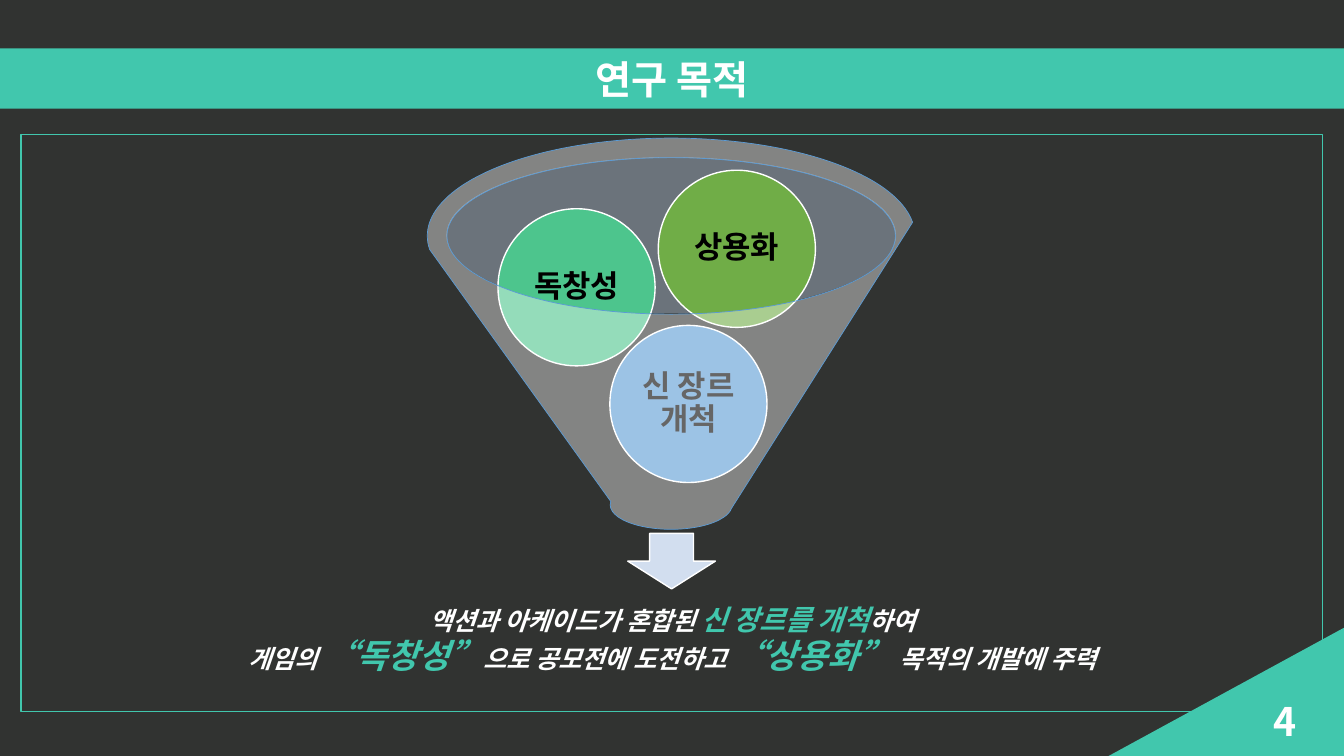
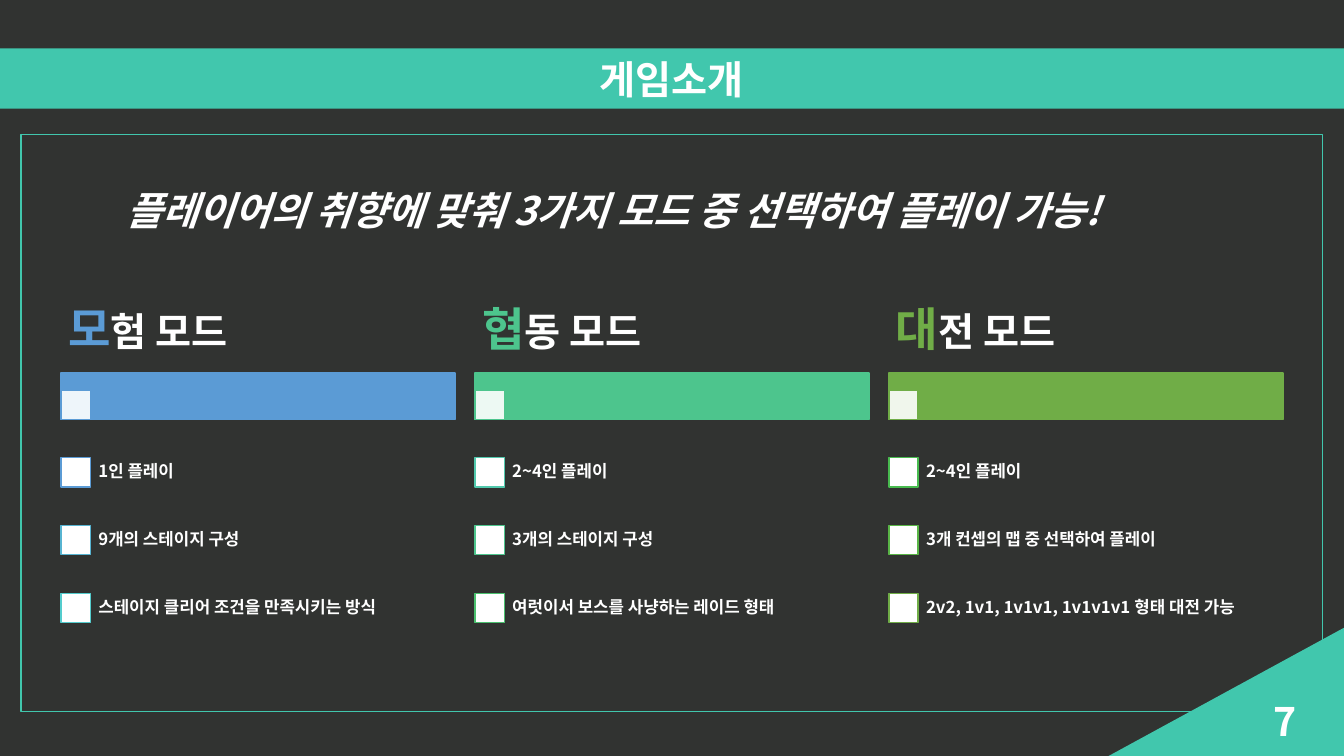
"""Build two slides on a game project: its research goal and its play modes."""
import pptx
import pptx.dml.color
import pptx.enum.shapes
import pptx.enum.text
import pptx.oxml
import pptx.oxml.ns
import pptx.util

Cm = pptx.util.Cm
Pt = pptx.util.Pt
SHAPE = pptx.enum.shapes.MSO_SHAPE
ALIGN = pptx.enum.text.PP_ALIGN

FONT = "Noto Sans CJK KR"
WIDTH, HEIGHT = 33.87, 19.05
COLORS = {
    "background": "313331",
    "teal": "41C7AD",
    "white": "FFFFFF",
    "black": "000000",
    "blue": "5B9BD5",
    "green": "4DC58D",
    "olive": "70AD47",
    "rim": "C4D5EB",
    "arrow": "D2DEEF",
}
MODES = [
    ("모", "험 모드", "blue", [
        ("1인 플레이", "5B9BD5"),
        ("9개의 스테이지 구성", "57B4D1"),
        ("스테이지 클리어 조건을 만족시키는 방식", "54CCCD")]),
    ("협", "동 모드", "green", [
        ("2~4인 플레이", "51C9AD"),
        ("3개의 스테이지 구성", "4DC58D"),
        ("여럿이서 보스를 사냥하는 레이드 형태", "4AC06E")]),
    ("대", "전 모드", "olive", [
        ("2~4인 플레이", "48BB4F"),
        ("3개 컨셉의 맵 중 선택하여 플레이", "59B546"),
        ("2v2, 1v1, 1v1v1, 1v1v1v1 형태 대전 가능", "70AD47")]),
]


def rgb(color):
    """Turn a colour name or a hex string into an RGB colour."""
    return pptx.dml.color.RGBColor.from_string(COLORS.get(color, color))


def add_figure(slide, kind, box, fill=None, line=None, weight=1, opacity=100):
    """Add a preset shape with its fill and outline."""
    figure = slide.shapes.add_shape(kind, *map(Cm, box))
    figure.shadow.inherit = False
    if fill:
        figure.fill.solid()
        figure.fill.fore_color.rgb = rgb(fill)
    else:
        figure.fill.background()
    if opacity < 100:
        tint = figure._element.spPr.find(pptx.oxml.ns.qn("a:solidFill"))[0]
        alpha = pptx.oxml.parse_xml(
            f'<a:alpha {pptx.oxml.ns.nsdecls("a")} val="{opacity * 1000}"/>')
        tint.append(alpha)
    if line:
        figure.line.color.rgb = rgb(line)
        figure.line.width = Pt(weight)
    else:
        figure.line.fill.background()
    return figure


def write(holder, lines, align=ALIGN.LEFT, insets=(0.25, 0.13), italic=False,
          spacing=None, after=None):
    """Fill a shape with lines, each a list of (text, size, colour) runs."""
    frame = holder.text_frame
    frame.word_wrap = True
    frame.vertical_anchor = pptx.enum.text.MSO_ANCHOR.MIDDLE
    frame.margin_left = frame.margin_right = Cm(insets[0])
    frame.margin_top = frame.margin_bottom = Cm(insets[1])
    for index, runs in enumerate(lines):
        paragraph = frame.add_paragraph() if index else frame.paragraphs[0]
        paragraph.alignment = align
        paragraph.line_spacing = spacing
        if after is not None:
            paragraph.space_after = Pt(after)
        font = paragraph.font
        font.name, font.bold, font.italic = FONT, True, italic
        east_asian = pptx.oxml.parse_xml(
            f'<a:ea {pptx.oxml.ns.nsdecls("a")} typeface="{FONT}"/>')
        paragraph._p.pPr.get_or_add_defRPr().append(east_asian)
        if len(runs) == 1:
            font.size = Pt(runs[0][1])
            font.color.rgb = rgb(runs[0][2])
        for text, size, color in runs:
            run = paragraph.add_run()
            run.text = text
            if len(runs) > 1:
                run.font.size = Pt(size)
                run.font.color.rgb = rgb(color)


def add_text(slide, box, lines, **style):
    """Add a text box."""
    write(slide.shapes.add_textbox(*map(Cm, box)), lines, **style)


def add_page(deck, title, number):
    """Add a slide with the shared frame, title band and numbered corner."""
    slide = deck.slides.add_slide(deck.slide_layouts[6])
    slide.background.fill.solid()
    slide.background.fill.fore_color.rgb = rgb("background")
    add_figure(slide, SHAPE.RECTANGLE, (0.53, 3.4, 32.79, 14.53),
               line="teal", weight=0.75)
    band = add_figure(slide, SHAPE.RECTANGLE, (0, 1.22, WIDTH, 1.52), "teal")
    write(band, [[(title, 28, "white")]], align=ALIGN.CENTER)
    corner = add_figure(slide, SHAPE.RIGHT_TRIANGLE,
                        (WIDTH - 5.93, HEIGHT - 3.23, 5.93, 3.23), "teal")
    corner._element.spPr.xfrm.set("flipH", "1")
    add_text(slide, (25.3, 17.65, 7.62, 1.02), [[(str(number), 28, "white")]],
             align=ALIGN.RIGHT)
    return slide


def add_ball(slide, left, top, label, color):
    """Add a labelled ball inside the funnel."""
    ball = add_figure(slide, SHAPE.OVAL, (left, top, 3.96, 3.96), color, "white")
    write(ball, [[(label, 22, "black")]], align=ALIGN.CENTER,
          insets=(0.08, 0.08), spacing=0.9)


def add_mode(slide, left, initial, rest, color, features):
    """Add a play mode column: heading, bar and feature list."""
    width, chip, gap = 9.93, 0.74, 1.71
    bar_top, bar_height, first_chip = 9.4, 1.17, 11.53
    add_figure(slide, SHAPE.RECTANGLE, (left, bar_top, width, bar_height),
               color, color)
    add_figure(slide, SHAPE.RECTANGLE,
               (left, bar_top + bar_height - chip, chip, chip),
               "white", color, opacity=90)
    add_text(slide, (left, 7.29, width, 2.11),
             [[(initial, 33, color), (rest, 28, "white")]],
             insets=(0.18, 0.13), spacing=0.9)
    for row, (feature, outline) in enumerate(features):
        top = first_chip + row * gap
        add_figure(slide, SHAPE.RECTANGLE, (left, top, chip, chip),
                   "white", outline)
        add_text(slide, (left + 0.71, top + (chip - gap) / 2, width - 0.71, gap),
                 [[(feature, 12, "white")]], insets=(0.23, 0.23), spacing=0.9)


def build_goal(deck):
    """Build the research goal slide."""
    slide = add_page(deck, "연구 목적", 4)
    add_figure(slide, SHAPE.OVAL, (11.25, 3.96, 11.33, 3.94), "rim", opacity=40)
    add_figure(slide, SHAPE.DOWN_ARROW, (15.82, 13.44, 2.21, 1.4),
               "arrow", "white")
    add_ball(slide, 15.37, 8.2, "신 장르 개척", "blue")
    add_ball(slide, 12.55, 5.26, "독창성", "green")
    add_ball(slide, 16.59, 4.29, "상용화", "olive")
    add_figure(slide, SHAPE.FUNNEL, (10.77, 3.48, 12.29, 9.86),
               "white", "blue", 0.5, opacity=40)
    add_text(slide, (5.11, 14.83, 23.67, 2.64), [
        [("액션과 아케이드가 혼합된 ", 18, "white"),
         ("신 장르를 개척", 20, "teal"),
         ("하여", 18, "white")],
        [("게임의 ", 18, "white"),
         ("“독창성”", 24, "teal"),
         ("으로 공모전에 도전하고 ", 18, "white"),
         ("“상용화” ", 24, "teal"),
         ("목적의 개발에 주력", 18, "white")],
    ], align=ALIGN.CENTER, insets=(0.36, 0.36), italic=True, spacing=0.9, after=2)


def build_modes(deck):
    """Build the play modes slide."""
    slide = add_page(deck, "게임소개", 7)
    headline = "플레이어의 취향에 맞춰 3가지 모드 중 선택하여 플레이 가능!"
    add_text(slide, (2.95, 4.06, 27.97, 2.62), [[(headline, 28, "white")]],
             italic=True, spacing=0.9, after=6)
    for column, mode in enumerate(MODES):
        add_mode(slide, 1.54 + column * 10.43, *mode)


def main():
    """Build and save the deck."""
    deck = pptx.Presentation()
    deck.slide_width, deck.slide_height = Cm(WIDTH), Cm(HEIGHT)
    build_goal(deck)
    build_modes(deck)
    deck.save("out.pptx")


if __name__ == "__main__":
    main()
